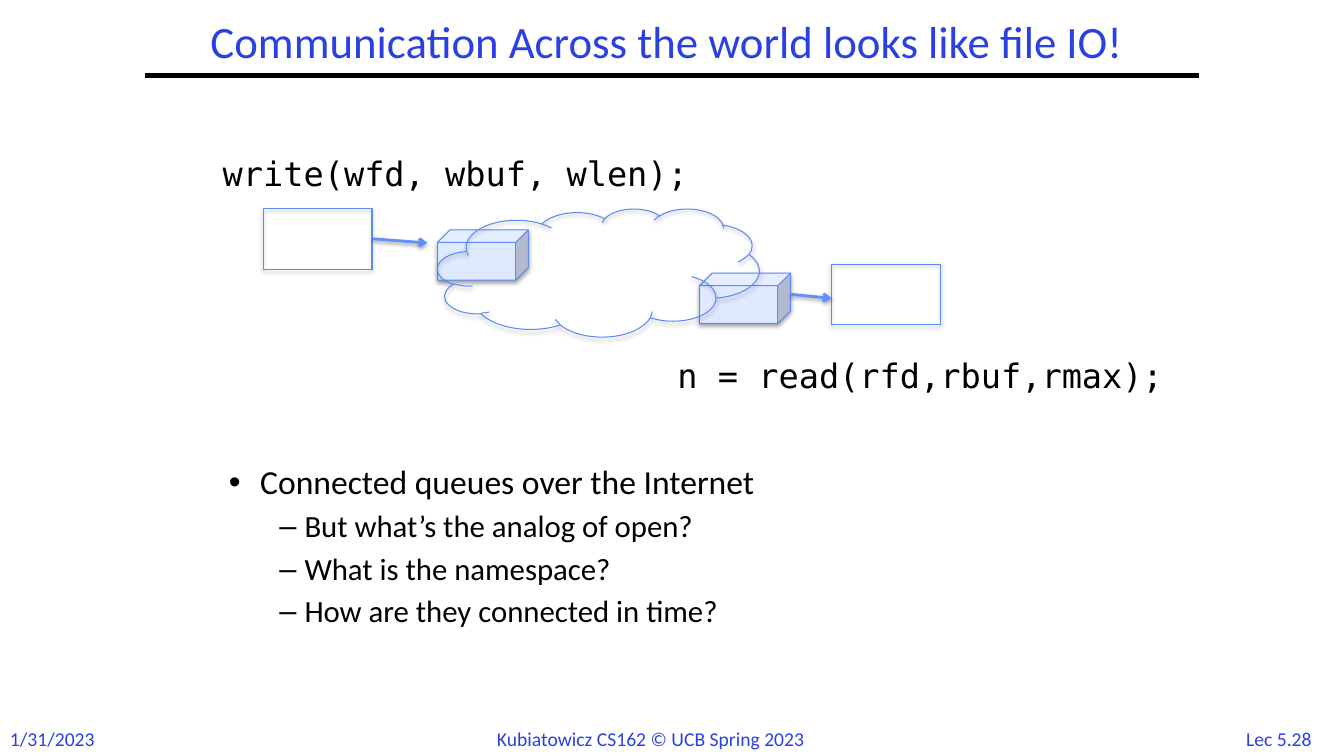
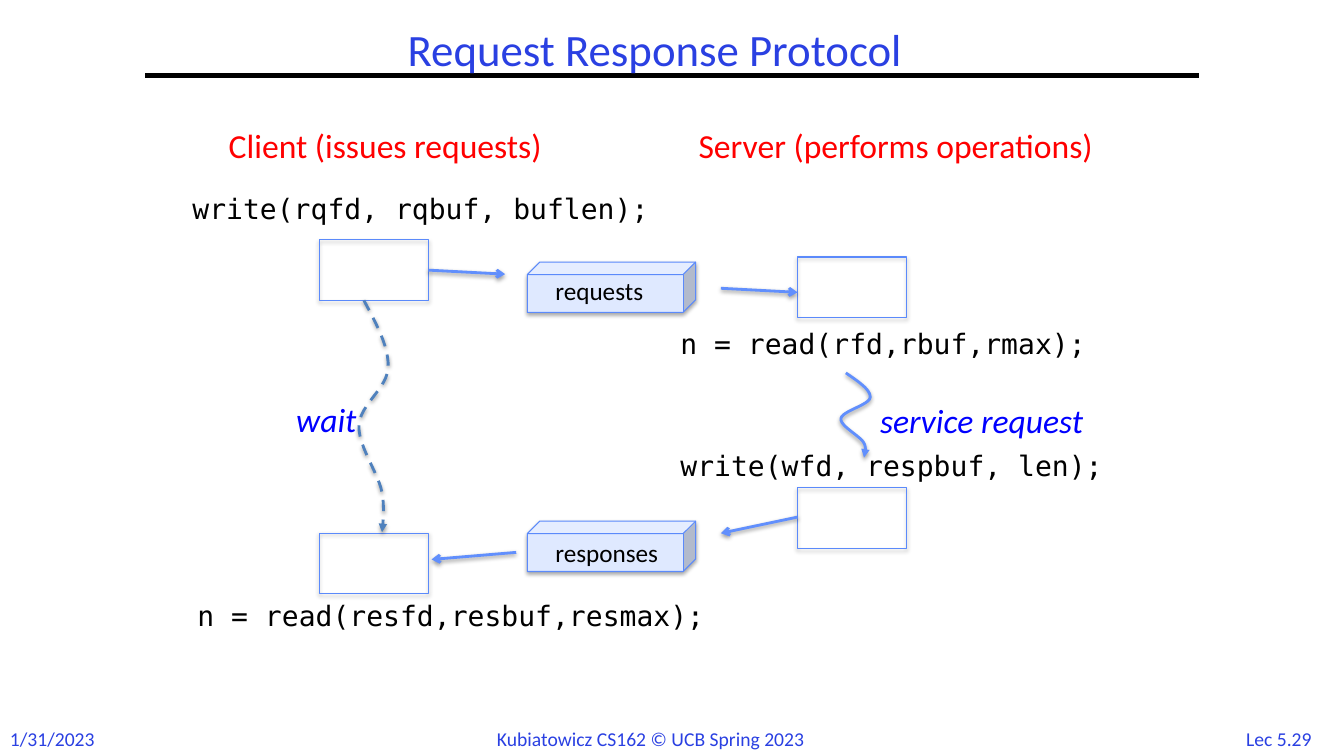
import pptx
import pptx.dml.color
import pptx.enum.dml
import pptx.enum.shapes
import pptx.enum.text
import pptx.oxml
import pptx.oxml.ns
import pptx.util

Inches, Pt = pptx.util.Inches, pptx.util.Pt
SHAPE = pptx.enum.shapes.MSO_SHAPE
ALIGN = pptx.enum.text.PP_ALIGN


class Theme:
    width, height = 13.33, 7.5
    sans, mono = "Calibri", "DejaVu Sans Mono"
    title, ink, heading, note = "2A40E2", "000000", "FF0000", "0000FF"
    outline, arrow, wait, cube = "5B8AFB", "618FFD", "4F81BD", "DFE9FF"
    title_size, large, bullet, code, label, footer = 32, 24, 22, 20, 18, 14
    shape_shadow, line_shadow = (35, 1.8), (38, 1.6)  # opacity %, distance pt
    buffer = (1.08, 0.6)
    cube_height = 0.5
    footer_top = 7.16


# Content: text is (words, left, top, width, style)
STYLES = {
    "code large": (Theme.mono, Theme.large, Theme.ink, False),
    "code": (Theme.mono, Theme.code, Theme.ink, False),
    "heading": (Theme.sans, Theme.large, Theme.heading, False),
    "label": (Theme.sans, Theme.label, Theme.ink, False),
    "note": (Theme.sans, Theme.large, Theme.note, True),
    "footer": (Theme.sans, Theme.footer, Theme.title, False),
}
FOOTERS = [
    ("1/31/2023", 0, Theme.footer_top, 1.07, "footer"),
    ("Kubiatowicz CS162 © UCB Spring 2023", 4.83, Theme.footer_top, 3.68, "footer"),
]
CLIENT_X, SERVER_X, QUEUE_X = 3.17, 7.91, 5.23
CODE_X = 6.65

SLIDES = [
    {
        "title": "Communication Across the world looks like file IO!",
        "title_box": (0.95, 0.13, 11.33, 0.62),
        "number": "Lec 5.28",
        "body_box": (2.17, 4.57, 9, 2.32),
        "body": [
            (0, "Connected queues over the Internet"),
            (1, "But what’s the analog of open?"),
            (1, "What is the namespace?"),
            (1, "How are they connected in time?"),
        ],
        "texts": [
            ("write(wfd, wbuf, wlen);", 2.11, 1.47, 5.11, "code large"),
            ("n = read(rfd,rbuf,rmax);", 6.62, 3.47, 5.05, "code large"),
        ],
        "buffers": [(2.61, 2.07), (8.25, 2.62)],
        "cubes": [(4.34, 2.28, 0.9), (6.94, 2.71, 0.9)],
        "arrows": [(3.7, 2.37, 4.24, 2.41), (7.84, 2.92, 8.25, 2.96)],
        "clouds": [(4.34, 2.07, 3.19, 1.27)],
        "waves": [],
    },
    {
        "title": "Request Response Protocol",
        "title_box": (2.17, 0.04, 8.65, 0.96),
        "number": "Lec 5.29",
        "body": [],
        "texts": [
            ("Client (issues requests)", 2.17, 1.19, 3.72, "heading"),
            ("Server (performs operations)", 6.83, 1.19, 4.51, "heading"),
            ("write(rqfd, rqbuf, buflen);", 1.81, 1.85, 4.91, "code"),
            ("n = read(rfd,rbuf,rmax);", CODE_X, 3.19, 4.86, "code"),
            ("write(wfd, respbuf, len);", CODE_X, 4.4, 4.91, "code"),
            ("n = read(resfd,resbuf,resmax);", 1.86, 5.89, 5.48, "code"),
            ("requests", QUEUE_X + 0.18, 2.68, 1.17, "label"),
            ("responses", QUEUE_X + 0.18, 5.28, 1.37, "label"),
            ("service request", 8.63, 3.92, 2.49, "note"),
            ("wait", 2.84, 3.91, 0.9, "note"),
        ],
        "buffers": [(CLIENT_X, 2.38), (SERVER_X, 2.55),
                    (CLIENT_X, 5.29), (SERVER_X, 4.84)],
        "cubes": [(QUEUE_X, 2.6, 1.67), (QUEUE_X, 5.17, 1.67)],
        "arrows": [(4.25, 2.68, 5.01, 2.72), (7.15, 2.86, 7.91, 2.9),
                   (5.12, 5.48, 4.28, 5.55), (7.91, 5.13, 7.15, 5.29)],
        "clouds": [],
        "waves": [(8.34, 3.7, 0.29, 0.84, Theme.arrow, False),
                  (3.56, 2.98, 0.29, 2.3, Theme.wait, True)],
    },
]

# Wavy arrow in a unit box: a start, then Bezier segments
WAVE_START = (0.17, 0)
WAVE = [
    ((0.59, 0.1), (1.03, 0.2), (1, 0.29)),
    ((0.97, 0.38), (0.03, 0.45), (0, 0.54)),
    ((-0.03, 0.63), (0.69, 0.75), (0.79, 0.83)),
    ((0.9, 0.9), (0.79, 1), (0.79, 1)),
]
WAVE_STEPS = 12


def color(value):
    return pptx.dml.color.RGBColor.from_string(value)


def inches(values):
    return [Inches(value) for value in values]


def place(shape, box):
    shape.left, shape.top, shape.width, shape.height = inches(box)


def format_para(para, font, size, ink, italic=False):
    for span in para.runs:
        span.font.name, span.font.size = font, Pt(size)
        span.font.color.rgb, span.font.italic = color(ink), italic


def add_effects(shape, shadow=None):
    effects = pptx.oxml.parse_xml(
        "<a:effectLst %s/>" % pptx.oxml.ns.nsdecls("a"))
    if shadow:
        opacity, distance = shadow
        effects.append(pptx.oxml.parse_xml(
            '<a:outerShdw %s blurRad="%d" dist="%d" dir="5400000" rotWithShape="0">'
            '<a:srgbClr val="000000"><a:alpha val="%d"/></a:srgbClr></a:outerShdw>'
            % (pptx.oxml.ns.nsdecls("a"), Pt(3.1), Pt(distance), opacity * 1000)))
    properties = shape.element.spPr
    for old in properties.findall(pptx.oxml.ns.qn("a:effectLst")):
        properties.remove(old)
    properties.append(effects)


def style_line(shape, ink, width, head=None, dashed=False):
    shape.line.color.rgb = color(ink)
    shape.line.width = Pt(width)
    if dashed:
        shape.line.dash_style = pptx.enum.dml.MSO_LINE.DASH
    if head:
        shape.line.fill  # the line element exists from here on
        outline = shape.element.spPr.find(pptx.oxml.ns.qn("a:ln"))
        outline.append(pptx.oxml.parse_xml(
            '<a:tailEnd %s type="%s"/>' % (pptx.oxml.ns.nsdecls("a"), head)))


def add_text(page, words, left, top, width, style, align=ALIGN.LEFT):
    font, size, ink, italic = STYLES[style]
    box = page.shapes.add_textbox(*inches((left, top, width, size / 60 + 0.1)))
    box.text_frame.word_wrap = True
    box.text_frame.text = words
    para = box.text_frame.paragraphs[0]
    para.alignment = align
    format_para(para, font, size, ink, italic)
    return box


def add_block(page, kind, box, fill=None):
    shape = page.shapes.add_shape(kind, *inches(box))
    if fill:
        shape.fill.solid()
        shape.fill.fore_color.rgb = color(fill)
    else:
        shape.fill.background()
    style_line(shape, Theme.outline, 0.75)
    add_effects(shape, Theme.shape_shadow)


def add_line(page, ends, ink, width, head=None, shadow=None):
    line = page.shapes.add_connector(
        pptx.enum.shapes.MSO_CONNECTOR.STRAIGHT, *inches(ends))
    style_line(line, ink, width, head)
    add_effects(line, shadow)
    return line


def wave_points():
    start = WAVE_START
    for first, second, end in WAVE:
        for step in range(1, WAVE_STEPS + 1):
            t = step / WAVE_STEPS
            u = 1 - t
            yield tuple(u**3 * a + 3 * u * u * t * b + 3 * u * t * t * c + t**3 * d
                        for a, b, c, d in zip(start, first, second, end))
        start = end


def add_wave(page, left, top, width, height, ink, dashed):
    def scale(point):
        return inches((left + point[0] * width, top + point[1] * height))

    builder = page.shapes.build_freeform(*scale(WAVE_START), scale=1.0)
    builder.add_line_segments([scale(point) for point in wave_points()], close=False)
    wave = builder.convert_to_shape()
    wave.fill.background()
    style_line(wave, ink, 2, "triangle", dashed)
    add_effects(wave, Theme.line_shadow)


def fill_body(page, items, box):
    body = page.placeholders[1]
    place(body, box)
    frame = body.text_frame
    frame.auto_size = pptx.enum.text.MSO_AUTO_SIZE.NONE
    frame.text = "\n".join(words for _, words in items)
    levels = [(Theme.large, 0.31, -0.31), (Theme.bullet, 0.75, -0.25)]
    for index, (para, (level, _)) in enumerate(zip(frame.paragraphs, items)):
        size, margin, indent = levels[level]
        para.level = level
        properties = para._p.get_or_add_pPr()
        properties.set("marL", str(Inches(margin)))
        properties.set("indent", str(Inches(indent)))
        para.line_spacing = 0.9
        para.space_before = Pt(0.3 * size if index else 0)
        format_para(para, Theme.sans, size, Theme.ink)


def share_on_master(deck, page):
    # Rule and footers are made on a page, then moved to the master
    shared = [add_line(page, (1.44, 0.75, 11.89, 0.75), Theme.ink, 3)]
    shared += [add_text(page, *footer) for footer in FOOTERS]
    for shape in shared:
        deck.slide_master.shapes.element.append(shape.element)


def build_slide(deck, content):
    layout = deck.slide_layouts[1 if content["body"] else 5]
    page = deck.slides.add_slide(layout)

    # Title, body and slide number
    title = page.shapes.title
    place(title, content["title_box"])
    title.text_frame.text = content["title"]
    para = title.text_frame.paragraphs[0]
    para.alignment, para.line_spacing = ALIGN.CENTER, 0.9
    format_para(para, Theme.sans, Theme.title_size, Theme.title)
    if content["body"]:
        fill_body(page, content["body"], content["body_box"])
    add_text(page, content["number"], 12.2, Theme.footer_top, 0.97,
             "footer", ALIGN.CENTER)

    # Diagram
    for left, top, width in content["cubes"]:
        add_block(page, SHAPE.CUBE, (left, top, width, Theme.cube_height), Theme.cube)
    for corner in content["buffers"]:
        add_block(page, SHAPE.RECTANGLE, corner + Theme.buffer)
    for ends in content["arrows"]:
        add_line(page, ends, Theme.arrow, 2, "arrow", Theme.line_shadow)
    for box in content["clouds"]:
        add_block(page, SHAPE.CLOUD, box)
    for wave in content["waves"]:
        add_wave(page, *wave)
    for text in content["texts"]:
        add_text(page, *text)
    return page


def main():
    deck = pptx.Presentation()
    deck.slide_width, deck.slide_height = inches((Theme.width, Theme.height))
    pages = [build_slide(deck, content) for content in SLIDES]
    share_on_master(deck, pages[0])
    deck.save("out.pptx")


if __name__ == "__main__":
    main()
